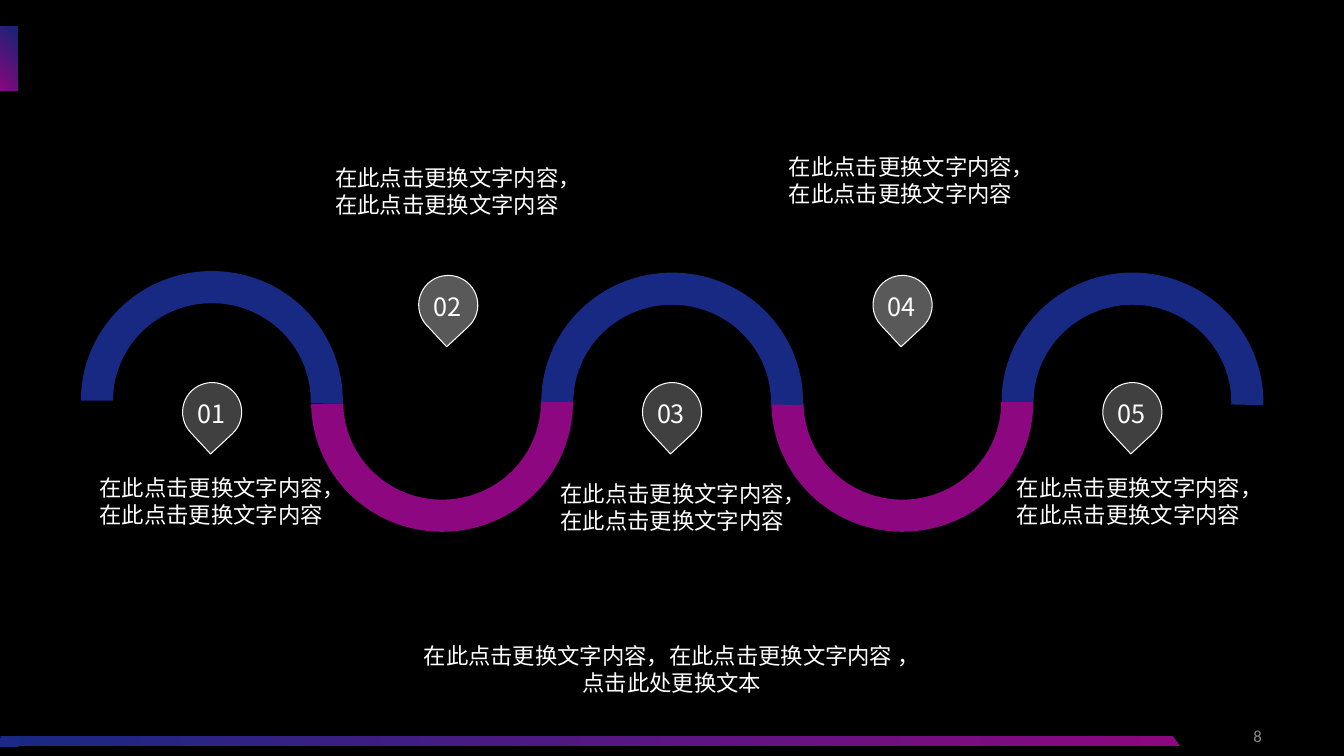
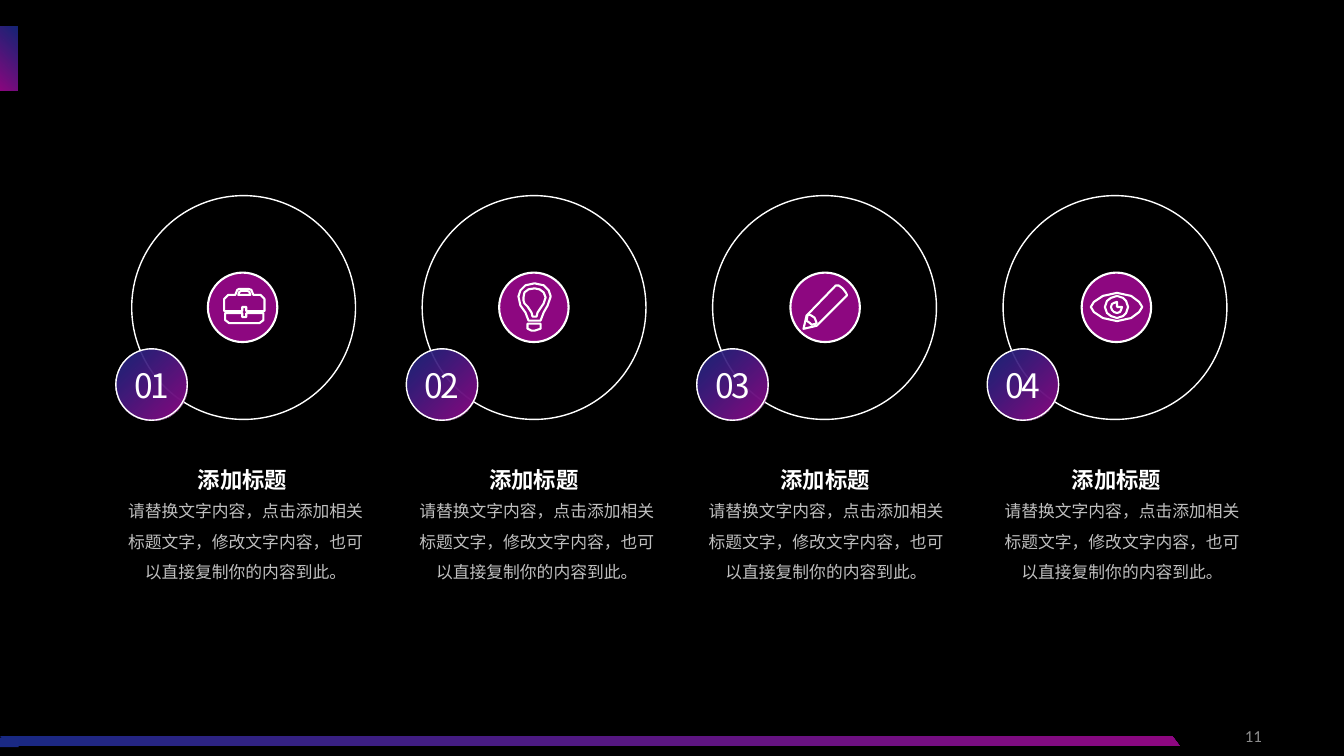
"""Builds two dark infographic slides: a winding five-step path and four icon rings."""
from dataclasses import dataclass

from lxml.etree import SubElement
from pptx import Presentation
from pptx.dml.color import RGBColor
from pptx.enum.shapes import MSO_SHAPE
from pptx.enum.text import MSO_ANCHOR, MSO_AUTO_SIZE, PP_ALIGN
from pptx.oxml.ns import qn
from pptx.util import Cm, Pt


@dataclass(frozen=True)
class Theme:
    black: str = "000000"
    white: str = "FFFFFF"
    navy: str = "182983"
    patch: str = "1A2983"
    purple: str = "8D0780"
    pin_low: str = "404040"
    pin_high: str = "595959"
    page: str = "8C8C8C"
    body: str = "BFBFBF"
    font: str = "Noto Sans CJK SC"
    page_font: str = "Calibri"
    small: int = 12
    normal: int = 16
    pin: int = 18
    badge: int = 24


T = Theme()


def add_text(s, txt, l, t, w, h, size=T.normal, color=T.white, font=T.font, bold=False,
             align=PP_ALIGN.CENTER, anchor=MSO_ANCHOR.TOP, wrap=True, leading=None, spc=None,
             fit=MSO_AUTO_SIZE.SHAPE_TO_FIT_TEXT):
    tf = s.shapes.add_textbox(Cm(l), Cm(t), Cm(w), Cm(h)).text_frame
    tf.word_wrap = wrap
    tf.auto_size = fit
    tf.vertical_anchor = anchor
    p = tf.paragraphs[0]
    p.alignment = align
    if leading:
        p.line_spacing = leading
    r = p.add_run()
    r.text = txt
    r.font.size = Pt(size)
    r.font.bold = bold
    r.font.color.rgb = RGBColor.from_string(color)
    r.font.name = font
    rPr = r.font._element
    SubElement(rPr, qn("a:ea")).set("typeface", font)
    if spc:
        rPr.set("spc", str(spc))


def add_shape(s, kind, l, t, w, h, fill=None, angle=None, alpha=None, line=None):
    sp = s.shapes.add_shape(kind, Cm(l), Cm(t), Cm(w), Cm(h))
    sp.shadow.inherit = False
    if angle is not None:
        sp.fill.gradient()
        sp.fill.gradient_angle = angle
        for stop, color in zip(sp.fill.gradient_stops, (T.navy, T.purple)):
            stop.color.rgb = RGBColor.from_string(color)
        if alpha:
            first = sp.element.spPr.find(".//" + qn("a:srgbClr"))
            SubElement(first, qn("a:alpha")).set("val", str(alpha * 1000))
    elif fill:
        sp.fill.solid()
        sp.fill.fore_color.rgb = RGBColor.from_string(fill)
    else:
        sp.fill.background()
    if line is None:
        sp.line.fill.background()
    else:
        sp.line.color.rgb = RGBColor.from_string(T.white)
        sp.line.width = Pt(line)
    return sp


prs = Presentation()
prs.slide_width, prs.slide_height = Cm(33.87), Cm(19.05)
bg = prs.slide_master.background.fill
bg.solid()
bg.fore_color.rgb = RGBColor.from_string(T.black)
layout = prs.slide_layouts[6]
path_slide, ring_slide = [prs.slides.add_slide(layout) for _ in range(2)]

s = path_slide
tab = add_shape(s, MSO_SHAPE.RECTANGLE, 0, 0.67, 0.45, 1.61, angle=225, alpha=90)
bar = add_shape(s, MSO_SHAPE.PARALLELOGRAM, 0, 18.54, 29.74, 0.27, angle=180)
bar.adjustments[0] = 0.775
bar.element.spPr.xfrm.set("flipH", "1")
patch = add_shape(s, MSO_SHAPE.RECTANGLE, 0, 18.59, 0.47, 0.24, fill=T.patch)
for sp in (tab, bar, patch):
    layout.shapes.element.append(sp.element)

for s, number in ((path_slide, "8"), (ring_slide, "11")):
    add_text(s, number, 24.43, 18.03, 7.62, 1.02, size=T.small, color=T.page,
             font=T.page_font, align=PP_ALIGN.RIGHT, anchor=MSO_ANCHOR.MIDDLE,
             fit=MSO_AUTO_SIZE.NONE)

s = path_slide
for i in reversed(range(5)):
    low = i % 2 == 1
    arc = add_shape(s, MSO_SHAPE.BLOCK_ARC, 2.04 + 5.8 * i, 6.83 if i == 0 else 6.87, 6.6, 6.53,
                    fill=T.purple if low else T.navy)
    arc.adjustments[0] = 108
    arc.adjustments[1] = 215.63 if low else 0.787
    arc.adjustments[2] = 0.124
    arc.rotation = 180 if low else 0

STEP_TEXT = "在此点击更换文字内容，在此点击更换文字内容"
steps = [(4.6, 2.01, 11.82), (10.55, 7.95, 4.01), (16.19, 13.63, 11.98),
         (22, 19.38, 3.73), (27.79, 25.13, 11.82)]
for i, (pin_l, text_l, text_t) in enumerate(steps):
    high = i % 2 == 1
    pin_t = 6.94 if high else 9.64
    pin = add_shape(s, MSO_SHAPE.TEAR, pin_l, pin_t, 1.49, 1.49,
                    fill=T.pin_high if high else T.pin_low, line=0)
    pin.rotation = 137.1
    add_text(s, f"{i + 1:02d}", pin_l, pin_t + 0.28, 1.44, 1.02, size=T.pin, wrap=False)
    add_text(s, STEP_TEXT, text_l, text_t, 6.63, 2.31)
add_text(s, "在此点击更换文字内容，在此点击更换文字内容 ，点击此处更换文本",
         10.18, 16.06, 13.51, 1.63)

briefcase = [
    [(18, 18), (22, 18), (22, 22), (40, 22), (40, 10), (40, 7, 39, 6, 36, 6), (29, 6),
     (28, 4, 27, 2, 27, 1), (26, 0, 26, 0, 24, 0), (15, 0), (14, 0, 14, 0, 13, 1),
     (13, 2, 12, 4, 11, 6), (4, 6), (1, 6, 0, 7, 0, 10), (0, 22), (18, 22)],
    [(15, 3), (16, 3, 16, 2, 17, 2), (23, 2), (24, 2, 24, 3, 25, 3), (26, 6), (14, 6)],
    [(22, 28), (18, 28), (18, 24), (1, 24), (1, 31), (1, 32, 1, 34, 5, 34), (35, 34),
     (38, 34, 39, 32, 39, 31), (39, 24), (22, 24)],
]
bulb = [
    [(10, 45), (12, 46, 14, 47, 17, 47), (19, 47, 21, 46, 23, 45), (23, 40), (10, 40)],
    [(23, 37), (23, 27, 33, 24, 33, 13), (32, 7, 28, 0, 17, 0), (6, 0, 1, 7, 1, 13),
     (0, 24, 11, 27, 11, 37)],
    [(6, 14), (6, 8, 10, 5, 17, 5), (23, 5, 27, 8, 28, 14), (28, 17, 26, 19, 24, 23),
     (22, 26, 20, 29, 19, 33), (15, 33), (14, 29, 12, 26, 10, 23), (7, 19, 5, 17, 6, 14)],
]
pencil = [
    [(39, 4), (35, 0, 32, 1, 32, 1), (3, 31), (0, 44), (13, 41), (43, 11),
     (43, 11, 43, 8, 39, 4)],
    [(12, 39), (8, 40), (6, 38), (5, 37, 4, 36, 3, 36), (4, 31), (5, 30),
     (5, 30, 8, 30, 11, 33), (13, 36, 13, 38, 13, 38)],
]
eye = [
    [(26, 0), (9, 0, 0, 12, 0, 14), (0, 16, 9, 28, 26, 28), (43, 28, 51, 16, 51, 14),
     (51, 12, 43, 0, 26, 0)],
    [(26, 25), (19, 25, 14, 20, 14, 14), (14, 8, 19, 3, 26, 3), (32, 3, 37, 8, 37, 14),
     (37, 20, 32, 25, 26, 25)],
    [(26, 14), (25, 13, 27, 9, 26, 9), (22, 9, 20, 11, 20, 14), (20, 17, 22, 20, 26, 20),
     (29, 20, 31, 17, 31, 14), (31, 13, 27, 15, 26, 14)],
]
cards = [(briefcase, 0.41, 0.41, 2.9), (bulb, 0.46, 0.27, 10.24),
         (pencil, 0.33, 0.3, 17.53), (eye, 0.23, 0.51, 24.99)]

s = ring_slide
for i, (icon, dx, dy, body_l) in enumerate(cards):
    ring_shift, card_shift = 7.32 * i, 7.34 * i
    add_text(s, "添加标题", 4.72 + card_shift, 11.46, 2.79, 1.04, bold=True, wrap=False,
             leading=Pt(24))
    add_text(s, "请替换文字内容，点击添加相关标题文字，修改文字内容，也可以直接复制你的内容到此。",
             body_l, 12.25, 6.58, 2.57, size=T.small, color=T.body, leading=1.5)
    add_shape(s, MSO_SHAPE.OVAL, 3.32 + ring_shift, 4.93, 5.64, 5.64, line=1)
    add_shape(s, MSO_SHAPE.OVAL, 2.92 + ring_shift, 8.79, 1.8, 1.8, angle=315, alpha=90, line=1)
    add_text(s, f"{i + 1:02d}", 2.92 + ring_shift, 9.07, 1.8, 1.24, size=T.badge, wrap=False,
             spc=-200)
    disc_l, disc_t = 5.24 + card_shift, 6.87
    add_shape(s, MSO_SHAPE.OVAL, disc_l, disc_t, 1.75, 1.75, fill=T.purple, line=1.5)

    fb = s.shapes.build_freeform(*icon[0][0], scale=Cm(2.54) / 100)
    for n, (start, *segments) in enumerate(icon):
        if n:
            fb.move_to(*start)
        x, y = start
        points = []
        for seg in segments:
            ex, ey = seg[-2:]
            if len(seg) == 6 and abs(ex - x) + abs(ey - y) > 8:
                ax, ay, bx, by = seg[:4]
                for u in (1 / 3, 2 / 3):
                    v = 1 - u
                    points.append((v**3 * x + 3 * v * v * u * ax + 3 * v * u * u * bx + u**3 * ex,
                                   v**3 * y + 3 * v * v * u * ay + 3 * v * u * u * by + u**3 * ey))
            points.append((ex, ey))
            x, y = ex, ey
        fb.add_line_segments(points, close=True)
    sp = fb.convert_to_shape(Cm(disc_l + dx), Cm(disc_t + dy))
    sp.shadow.inherit = False
    sp.fill.background()
    sp.line.color.rgb = RGBColor.from_string(T.white)
    sp.line.width = Pt(1.5)

prs.save("out.pptx")
